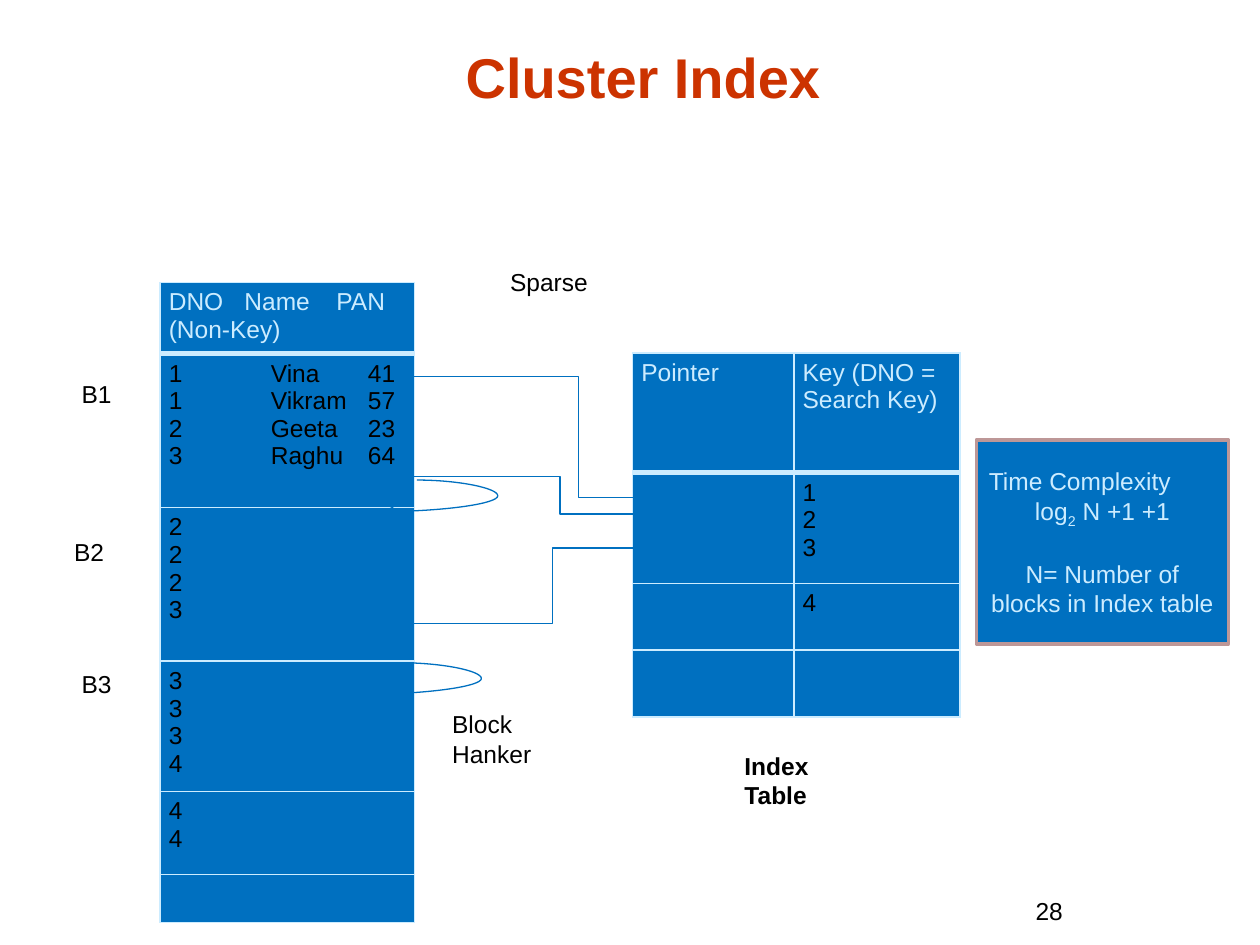
from dataclasses import dataclass

from lxml import etree
from pptx import Presentation
from pptx.dml.color import RGBColor
from pptx.enum.shapes import MSO_CONNECTOR, MSO_SHAPE
from pptx.enum.text import MSO_ANCHOR, PP_ALIGN
from pptx.oxml.ns import qn
from pptx.util import Inches, Pt

ELBOW, CURVE = MSO_CONNECTOR.ELBOW, MSO_CONNECTOR.CURVE
LEFT, CENTER = PP_ALIGN.LEFT, PP_ALIGN.CENTER
TOP, MIDDLE, BOTTOM = MSO_ANCHOR.TOP, MSO_ANCHOR.MIDDLE, MSO_ANCHOR.BOTTOM

# The slide is a grid of 100 columns by 75 rows
COLUMNS, ROWS = 100, 75
CELL = 0.1


@dataclass(frozen=True)
class Theme:
    font: str = "Arial"
    title: str = "CC3300"
    ink: str = "000000"
    pale: str = "CCECFF"
    blue: str = "0070C0"
    frame: str = "BD9797"
    title_size: int = 32
    body_size: int = 14


@dataclass(frozen=True)
class Box:
    left: float
    top: float
    width: float
    height: float

    def inner(self, left, top, width, height):
        return Box(self.left + left, self.top + top, width, height)

    def point(self, across, down):
        return grid(self.left + across), grid(self.top + down)

    def lengths(self):
        return [grid(value) for value in (self.left, self.top, self.width, self.height)]


THEME = Theme()


def grid(cells):
    return Inches(cells * CELL)


def color(value):
    return RGBColor.from_string(value)


def add_run(paragraph, text, ink=THEME.ink, size=THEME.body_size, bold=False):
    run = paragraph.add_run()
    run.text = text
    values = {"name": THEME.font, "size": Pt(size), "bold": bold}
    for name, value in values.items():
        setattr(run.font, name, value)
    run.font.color.rgb = color(ink)
    return run


def add_text(slide, box, text, anchor=TOP, align=LEFT, **run_format):
    frame = slide.shapes.add_textbox(*box.lengths()).text_frame
    frame.word_wrap = True
    frame.vertical_anchor = anchor
    frame.paragraphs[0].alignment = align
    add_run(frame.paragraphs[0], text, **run_format)


def set_tabs(paragraph, stops):
    tab_list = etree.SubElement(paragraph._p.get_or_add_pPr(), qn("a:tabLst"))
    for stop in stops:
        etree.SubElement(tab_list, qn("a:tab"), pos=str(grid(stop)), algn="l")


def set_borders(cell, header):
    properties = cell._tc.get_or_add_tcPr()
    for index, side in enumerate(("lnL", "lnR", "lnT", "lnB")):
        width = Pt(3 if header and side == "lnB" else 1)
        line = etree.Element(qn(f"a:{side}"), w=str(width))
        fill = etree.SubElement(line, qn("a:solidFill"))
        etree.SubElement(fill, qn("a:srgbClr"), val=THEME.pale)
        properties.insert(index, line)


def fill_cell(cell, lines, header, stops):
    margins = {"margin_left": 0.07, "margin_right": 0.07,
               "margin_top": 0.05, "margin_bottom": 0.05}
    for name, value in margins.items():
        setattr(cell, name, Inches(value))
    cell.fill.solid()
    cell.fill.fore_color.rgb = color(THEME.blue)
    set_borders(cell, header)
    frame = cell.text_frame
    for index, text in enumerate(lines):
        paragraph = frame.add_paragraph() if index else frame.paragraphs[0]
        if "\t" in text:
            set_tabs(paragraph, stops)
        add_run(paragraph, text, THEME.pale if header else THEME.ink)
    if not lines:
        etree.SubElement(frame.paragraphs[0]._p, qn("a:endParaRPr"),
                         sz=str(THEME.body_size * 100))


def add_grid_table(slide, box, widths, heights, rows, stops):
    """Draw a table; stops maps a row number to its tab stops."""
    table = slide.shapes.add_table(len(heights), len(widths), *box.lengths()).table
    table.first_row = table.horz_banding = False
    for column, width in zip(table.columns, widths):
        column.width = grid(width)
    for number, (row, height, contents) in enumerate(zip(table.rows, heights, rows)):
        row.height = grid(height)
        for cell, lines in zip(row.cells, contents):
            fill_cell(cell, lines, number == 0, stops.get(number, ()))


def add_link(slide, kind, start, end, bend=None):
    link = slide.shapes.add_connector(kind, *start, *end)
    link.line.color.rgb = color(THEME.blue)
    link.line.width = Pt(0.75)
    properties = link._element.spPr
    etree.SubElement(properties.find(qn("a:ln")), qn("a:tailEnd"), type="triangle")
    etree.SubElement(properties, qn("a:effectLst"))
    if bend is not None:
        adjustments = properties.find(qn("a:prstGeom")).find(qn("a:avLst"))
        etree.SubElement(adjustments, qn("a:gd"), name="adj1", fmla=f"val {bend}")


def data_file(slide, box):
    # Records by block
    rows = [
        [["DNO\tName\tPAN", "(Non-Key)"]],
        [["1\tVina\t41", "1\tVikram\t57", "2\tGeeta\t23", "3\tRaghu\t64"]],
        [list("2223")], [list("3334")], [list("44")], [[]],
    ]
    add_grid_table(slide, box, [box.width], [5.3, 12.2, 12.2, 9.8, 6.6, 3.8],
                   rows, {0: (6, 13.3), 1: (8.1, 15.8)})
    # Block names
    for name, left, top in (("B1", -7.2, 7.2), ("B2", -7.8, 19.7), ("B3", -7.2, 30.2)):
        add_text(slide, box.inner(left, top, 5.6, 3.4), name)
    # Links from one block to the next
    for left, top in ((17.7, 15.7), (16.4, 30.2)):
        add_link(slide, CURVE, box.point(left + 2.7, top),
                 box.point(left, top + 2.5), bend=-237500)
    add_text(slide, box.inner(22.2, 33.4, 9.3, 5.7), "Block Hanker")


def index_table(slide, box):
    rows = [
        [["Pointer"], ["Key (DNO = Search Key)"]],
        [[], list("123")], [[], ["4"]], [[], []],
    ]
    add_grid_table(slide, box, [12.8, 13.2], [9.5, 8.8, 5.3, 5.3], rows, {})
    add_text(slide, box.inner(7.9, 31.1, 10.5, 5.7), "Index Table", bold=True)


def pointers(slide, index_box, data_box):
    # Each pair: a place in the index, a place in the data file
    for start, end in (((9.7, 11.5), (19.2, 7.5)),
                       ((9.6, 12.8), (16.4, 15.4)),
                       ((10.1, 15.5), (14.7, 27.1))):
        add_link(slide, ELBOW, index_box.point(*start), data_box.point(*end))


def complexity_note(slide, box):
    note = slide.shapes.add_shape(MSO_SHAPE.RECTANGLE, *box.lengths())
    note.shadow.inherit = False
    note.fill.solid()
    note.fill.fore_color.rgb = color(THEME.blue)
    note.line.color.rgb = color(THEME.frame)
    note.line.width = Pt(2)
    frame = note.text_frame
    frame.word_wrap = True
    frame.vertical_anchor = MIDDLE
    paragraphs = [frame.paragraphs[0], frame.add_paragraph(), frame.add_paragraph()]
    for paragraph, align in zip(paragraphs, (LEFT, CENTER, CENTER)):
        paragraph.alignment = align
    heading, formula, meaning = paragraphs
    add_run(heading, "Time Complexity", THEME.pale)
    add_run(formula, "log", THEME.pale)
    base = add_run(formula, "2", THEME.pale)
    base._r.get_or_add_rPr().set("baseline", "-25000")
    add_run(formula, " N +1 +1", THEME.pale)
    meaning.space_before = Pt(17)
    add_run(meaning, "N= Number of blocks in Index table", THEME.pale)


def main():
    presentation = Presentation()
    presentation.slide_width, presentation.slide_height = grid(COLUMNS), grid(ROWS)
    slide = presentation.slides.add_slide(presentation.slide_layouts[6])
    data_box, index_box = Box(12.7, 22.4, 20.2, 49.9), Box(50.2, 28, 26, 28.9)

    add_text(slide, Box(6.9, 2.5, 88.3, 6.7), "Cluster Index", BOTTOM, CENTER,
             ink=THEME.title, size=THEME.title_size, bold=True)
    data_file(slide, data_box)
    index_table(slide, index_box)
    pointers(slide, index_box, data_box)
    add_text(slide, Box(39.5, 20.7, 12.4, 3.4), "Sparse")
    complexity_note(slide, Box(77.5, 34.9, 20, 16.2))
    add_text(slide, Box(81.2, 70.6, 10.8, 4), "28")
    presentation.save("out.pptx")


if __name__ == "__main__":
    main()
